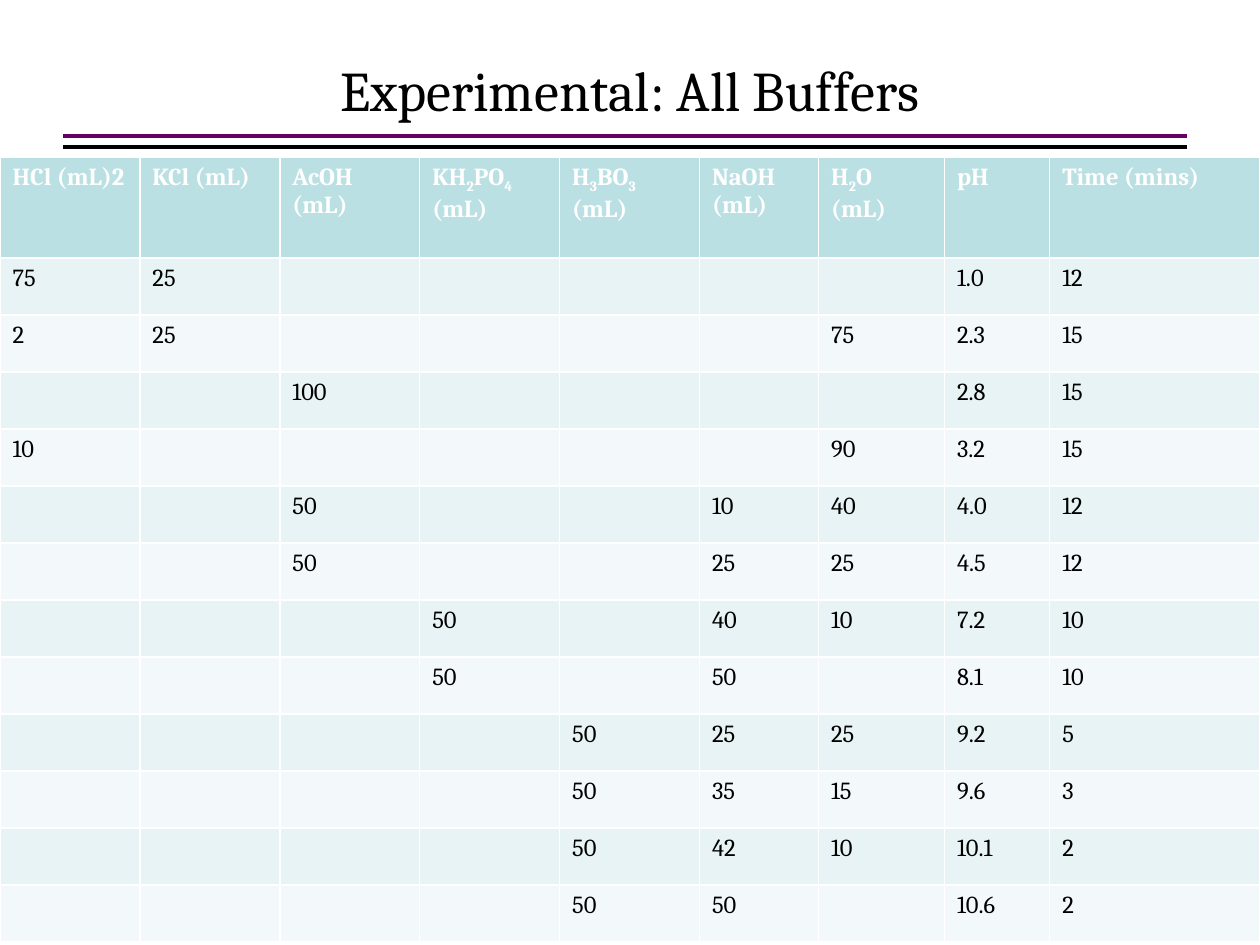
from lxml import etree
from pptx import Presentation
from pptx.dml.color import RGBColor
from pptx.enum.shapes import MSO_CONNECTOR
from pptx.enum.text import MSO_ANCHOR, PP_ALIGN
from pptx.oxml.ns import qn
from pptx.util import Cm, Pt

STRAIGHT = MSO_CONNECTOR.STRAIGHT
MIDDLE = MSO_ANCHOR.MIDDLE
CENTER = PP_ALIGN.CENTER

BLACK = RGBColor(0x00, 0x00, 0x00)
WHITE = RGBColor(0xFF, 0xFF, 0xFF)
PURPLE = RGBColor(0x66, 0x00, 0x66)
HEADER_TEAL = RGBColor(0xBB, 0xE0, 0xE3)
BAND_DARK = RGBColor(0xE7, 0xF3, 0xF4)
BAND_LIGHT = RGBColor(0xF3, 0xF9, 0xFA)
FONT = "Cambria"

# An underscore marks the next character as a subscript.
HEADERS = ["HCl (mL)2", "KCl (mL)", "AcOH (mL)", "KH_2PO_4 (mL)", "H_3BO_3 (mL)",
           "NaOH (mL)", "H_2O (mL)", "pH", "Time (mins)"]
BUFFERS = [
    ["75", "25", "", "", "", "", "", "1.0", "12"],
    ["2", "25", "", "", "", "", "75", "2.3", "15"],
    ["", "", "100", "", "", "", "", "2.8", "15"],
    ["10", "", "", "", "", "", "90", "3.2", "15"],
    ["", "", "50", "", "", "10", "40", "4.0", "12"],
    ["", "", "50", "", "", "25", "25", "4.5", "12"],
    ["", "", "", "50", "", "40", "10", "7.2", "10"],
    ["", "", "", "50", "", "50", "", "8.1", "10"],
    ["", "", "", "", "50", "25", "25", "9.2", "5"],
    ["", "", "", "", "50", "35", "15", "9.6", "3"],
    ["", "", "", "", "50", "42", "10", "10.1", "2"],
    ["", "", "", "", "50", "50", "", "10.6", "2"],
]
COLUMN_WIDTHS = [2.82] * 5 + [2.4, 2.54, 2.12, 4.23]
ROW_HEIGHTS = [2.03] + [1.15] * len(BUFFERS)


def add_run(paragraph, text, size, color, bold=False):
    run = paragraph.add_run()
    run.text = text
    run.font.name = FONT
    run.font.size = Pt(size)
    run.font.bold = bold
    run.font.color.rgb = color
    return run


def fill_cell(cell, text, fill, color, bold):
    cell.fill.solid()
    cell.fill.fore_color.rgb = fill
    paragraph = cell.text_frame.paragraphs[0]
    base, *subscripted = text.split("_")
    if base:
        add_run(paragraph, base, 14, color, bold)
    for part in subscripted:
        subscript = add_run(paragraph, part[0], 14, color, bold)
        subscript._r.get_or_add_rPr().set("baseline", "-25000")
        if part[1:]:
            add_run(paragraph, part[1:], 14, color, bold)


prs = Presentation()
prs.slide_width = Cm(25.4)
prs.slide_height = Cm(19.05)
slide = prs.slides.add_slide(prs.slide_layouts[6])

# Double rule under the title
for y, color in [(2.75, PURPLE), (2.96, BLACK)]:
    rule = slide.shapes.add_connector(STRAIGHT, Cm(1.27), Cm(y), Cm(23.92), Cm(y))
    rule.line.color.rgb = color
    rule.line.width = Pt(2.25)
    etree.SubElement(rule._element.spPr, qn("a:effectLst"))

title = slide.shapes.add_textbox(Cm(1.9), Cm(0.64), Cm(21.6), Cm(2.33)).text_frame
title.word_wrap = True
title.vertical_anchor = MIDDLE
title.paragraphs[0].alignment = CENTER
add_run(title.paragraphs[0], "Experimental: All Buffers", 32, BLACK)

# Buffer table
table = slide.shapes.add_table(
    len(ROW_HEIGHTS), len(COLUMN_WIDTHS), Cm(0), Cm(3.17),
    Cm(sum(COLUMN_WIDTHS)), Cm(sum(ROW_HEIGHTS))).table
for column, width in zip(table.columns, COLUMN_WIDTHS):
    column.width = Cm(width)
for row, height in zip(table.rows, ROW_HEIGHTS):
    row.height = Cm(height)

for col, header in enumerate(HEADERS):
    fill_cell(table.cell(0, col), header, HEADER_TEAL, WHITE, True)
for row, amounts in enumerate(BUFFERS, start=1):
    band = BAND_DARK if row % 2 else BAND_LIGHT
    for col, amount in enumerate(amounts):
        fill_cell(table.cell(row, col), amount, band, BLACK, False)

prs.save("out.pptx")
